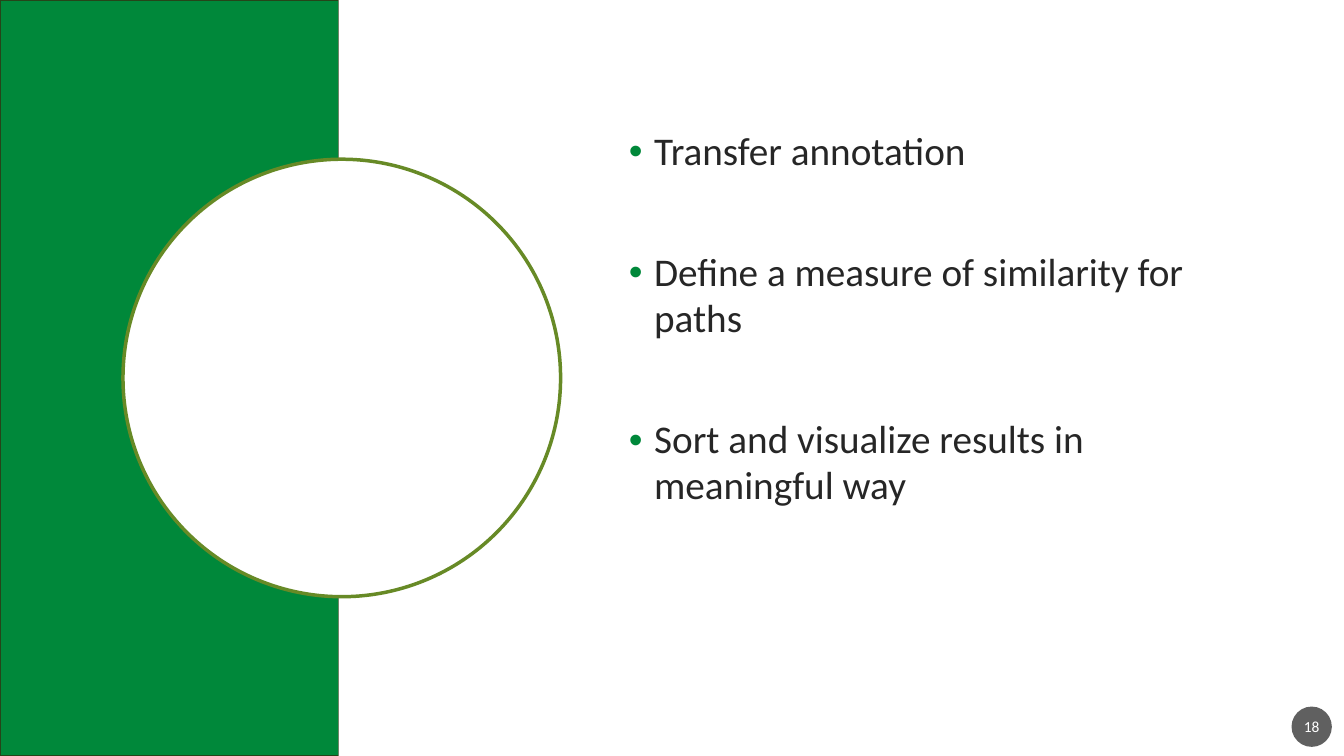
from dataclasses import dataclass

from lxml import etree
from pptx import Presentation
from pptx.dml.color import RGBColor
from pptx.enum.shapes import MSO_SHAPE
from pptx.enum.text import MSO_ANCHOR, PP_ALIGN
from pptx.oxml.ns import qn
from pptx.util import Inches, Pt

RECTANGLE, OVAL = MSO_SHAPE.RECTANGLE, MSO_SHAPE.OVAL
MIDDLE, CENTER = MSO_ANCHOR.MIDDLE, PP_ALIGN.CENTER


@dataclass(frozen=True)
class Theme:
    """Colours, font and type sizes of the slide."""
    green: str = "00883A"
    dark_green: str = "254519"
    olive: str = "678A26"
    white: str = "FFFFFF"
    ink: str = "262626"
    badge: str = "1D1D1D"
    font: str = "Calibri"
    body_size: float = 28
    number_size: float = 11


def add_text(para, text, *, font, size, color):
    """Add a formatted span of text to a paragraph."""
    span = para.add_run()
    span.text = text
    span.font.name = font
    span.font.size = Pt(size)
    span.font.color.rgb = RGBColor.from_string(color)


class SlideBuilder:
    """Draws themed elements on the current page."""

    def __init__(self, page, theme):
        self.page = page
        self.theme = theme

    def shape(self, kind, left, top, width, height, fill, line=None, line_width=1, opacity=None):
        """Add a filled preset shape with an optional outline."""
        shape = self.page.shapes.add_shape(
            kind, Inches(left), Inches(top), Inches(width), Inches(height))
        shape.shadow.inherit = False
        shape.fill.solid()
        shape.fill.fore_color.rgb = RGBColor.from_string(fill)
        if opacity is not None:
            color = shape.fill._xPr.find(".//" + qn("a:srgbClr"))
            etree.SubElement(color, qn("a:alpha"), val=str(opacity * 1000))
        if line:
            shape.line.color.rgb = RGBColor.from_string(line)
            shape.line.width = Pt(line_width)
        else:
            shape.line.fill.background()
        return shape

    def bullets(self, left, top, width, height, items, gap, bottom_inset):
        """Add a vertically centred bullet list."""
        box = self.page.shapes.add_textbox(
            Inches(left), Inches(top), Inches(width), Inches(height))
        frame = box.text_frame
        frame.word_wrap = True
        frame.vertical_anchor = MIDDLE
        frame.margin_bottom = Inches(bottom_inset)
        for index, item in enumerate(items):
            para = frame.add_paragraph() if index else frame.paragraphs[0]
            para.space_before = Pt(gap if index else 10)
            para.line_spacing = 0.98
            properties = para._p.get_or_add_pPr()
            properties.set("marL", str(Inches(0.25)))
            properties.set("indent", str(Inches(-0.25)))
            bullet_color = etree.SubElement(properties, qn("a:buClr"))
            etree.SubElement(bullet_color, qn("a:srgbClr"), val=self.theme.green)
            etree.SubElement(properties, qn("a:buFont"), typeface="Arial")
            etree.SubElement(properties, qn("a:buChar"), char="•")
            add_text(para, item, font=self.theme.font,
                     size=self.theme.body_size, color=self.theme.ink)

    def page_number(self, left, top, diameter, number):
        """Add the round page-number badge."""
        badge = self.shape(OVAL, left, top, diameter, diameter, self.theme.badge, opacity=70)
        frame = badge.text_frame
        frame.margin_left = frame.margin_right = Inches(0.02)
        frame.vertical_anchor = MIDDLE
        para = frame.paragraphs[0]
        para.alignment = CENTER
        add_text(para, number, font=self.theme.font,
                 size=self.theme.number_size, color=self.theme.white)


def main():
    """Build and save the slide."""
    theme = Theme()
    deck = Presentation()
    deck.slide_width, deck.slide_height = Inches(13.33), Inches(7.5)
    builder = SlideBuilder(deck.slides.add_slide(deck.slide_layouts[6]), theme)
    builder.shape(RECTANGLE, 0, 0, 3.36, 7.5, theme.green, theme.dark_green)
    builder.shape(RECTANGLE, 3.36, 0, 9.97, 7.5, theme.white)
    builder.shape(OVAL, 1.22, 1.58, 4.34, 4.34, theme.white, theme.olive, 2.5)
    builder.bullets(6.14, 0.4, 6.44, 6.71, [
        "Transfer annotation",
        "Define a measure of similarity for paths",
        "Sort and visualize results in meaningful way",
    ], gap=53.5, bottom_inset=1.23)
    builder.page_number(12.81, 7.01, 0.4, "18")
    deck.save("out.pptx")


if __name__ == "__main__":
    main()
